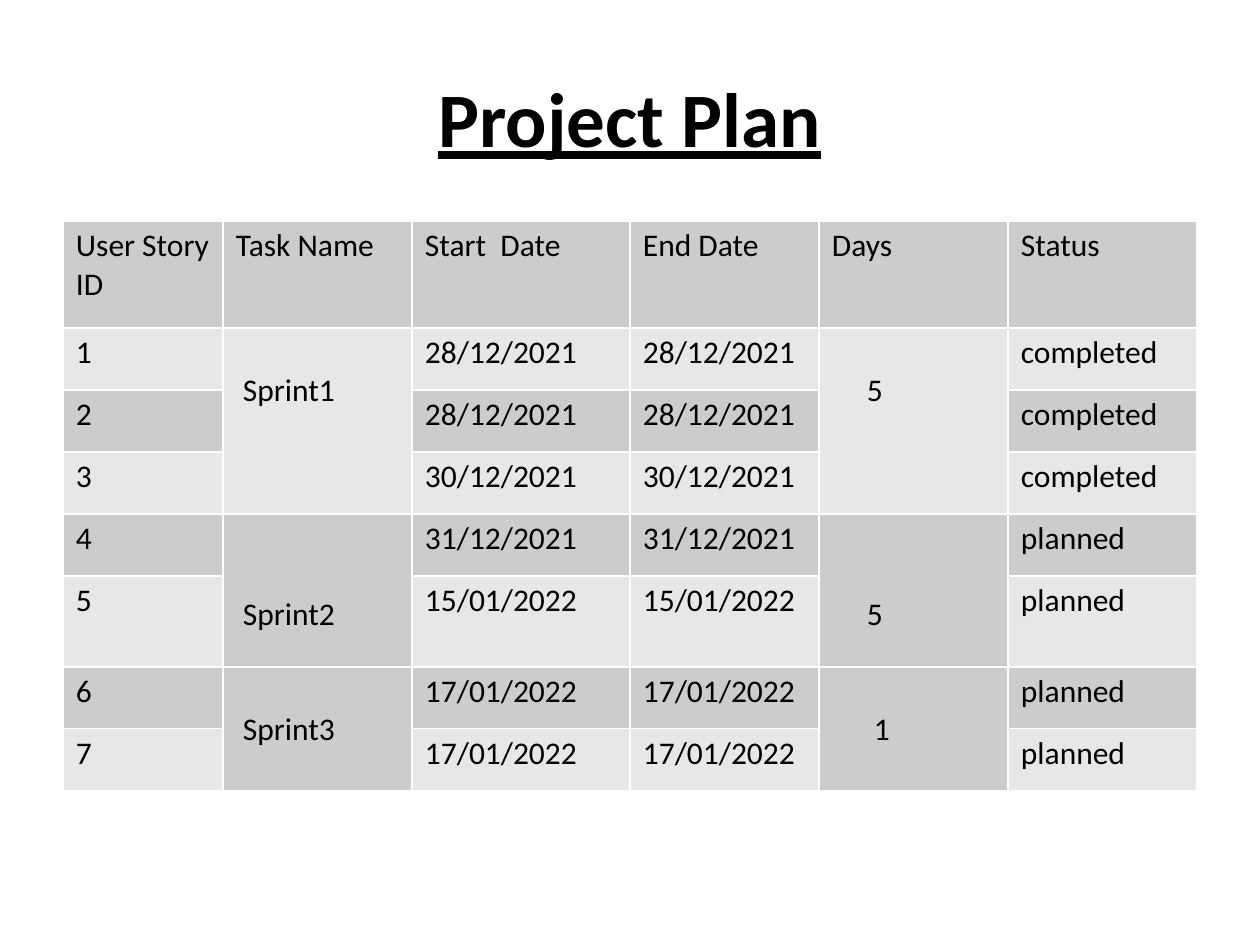
import pptx
import pptx.dml.color
import pptx.enum.text
import pptx.oxml.ns
import pptx.util
import lxml.etree

PX = 914400 / 126
LINE = 38
COLUMNS = [160, 189, 218, 189, 189, 189]
ROWS = [107, 62, 62, 62, 62, 91, 62, 62]
HEADERS = ["User Story ID", "Task Name", "Start  Date", "End Date", "Days", "Status"]
STORIES = [
    ("28/12/2021", "completed"),
    ("28/12/2021", "completed"),
    ("30/12/2021", "completed"),
    ("31/12/2021", "planned"),
    ("15/01/2022", "planned"),
    ("17/01/2022", "planned"),
    ("17/01/2022", "planned"),
]
SPRINTS = [
    (1, 3, "Sprint1", "5", 48, 1),
    (4, 5, "Sprint2", "5", 48, 2),
    (6, 7, "Sprint3", "1", 55, 1),
]


def px(n):
    return pptx.util.Emu(round(n * PX))


def color(value):
    return pptx.dml.color.RGBColor.from_string(value)


def add_run(p, text, size, strong=False):
    r = p.add_run()
    r.text = text
    r.font.name = "Calibri"
    r.font.size = pptx.util.Pt(size)
    r.font.color.rgb = color("000000")
    r.font.bold = strong
    r.font.underline = strong


def style_cell(cell, fill):
    tc_pr = cell._tc.get_or_add_tcPr()
    qn = pptx.oxml.ns.qn
    for side in ("lnL", "lnR", "lnT", "lnB"):
        ln = lxml.etree.SubElement(tc_pr, qn("a:" + side), w="12700")
        solid = lxml.etree.SubElement(ln, qn("a:solidFill"))
        lxml.etree.SubElement(solid, qn("a:srgbClr"), val="FFFFFF")
    cell.fill.solid()
    cell.fill.fore_color.rgb = color(fill)


def write_cell(cell, text, left=13, top=6):
    cell.margin_left, cell.margin_top = px(left), px(top)
    add_run(cell.text_frame.paragraphs[0], text, 18)


def add_title(s, x, y, w, h):
    tf = s.shapes.add_textbox(px(x), px(y), px(w), px(h)).text_frame
    tf.word_wrap = True
    tf.vertical_anchor = pptx.enum.text.MSO_ANCHOR.MIDDLE
    p = tf.paragraphs[0]
    p.alignment = pptx.enum.text.PP_ALIGN.CENTER
    add_run(p, "Project Plan", 44, strong=True)


def add_plan(s, x, y, w, h):
    table = s.shapes.add_table(
        len(ROWS), len(COLUMNS), px(x), px(y), px(w), px(h)
    ).table
    for column, width in zip(table.columns, COLUMNS):
        column.width = px(width)
    for i, height in enumerate(ROWS):
        table.rows[i].height = px(height)
        for cell in table.rows[i].cells:
            style_cell(cell, "E7E7E7" if i % 2 else "CCCCCC")
    for j, header in enumerate(HEADERS):
        write_cell(table.cell(0, j), header)
    for i, (date, status) in enumerate(STORIES, 1):
        for j, text in ((0, str(i)), (2, date), (3, date), (5, status)):
            write_cell(table.cell(i, j), text)
    for first, last, name, days, indent, lines in SPRINTS:
        for j, text, left in ((1, name, 20), (4, days, indent)):
            table.cell(first, j).merge(table.cell(last, j))
            write_cell(table.cell(first, j), text, left, 6 + lines * LINE)


def main():
    prs = pptx.Presentation()
    prs.slide_width, prs.slide_height = px(1260), px(945)
    s = prs.slides.add_slide(prs.slide_layouts[6])
    add_title(s, 63, 38, 1134, 157)
    add_plan(s, 63, 221, sum(COLUMNS), sum(ROWS))
    prs.save("out.pptx")


if __name__ == "__main__":
    main()
